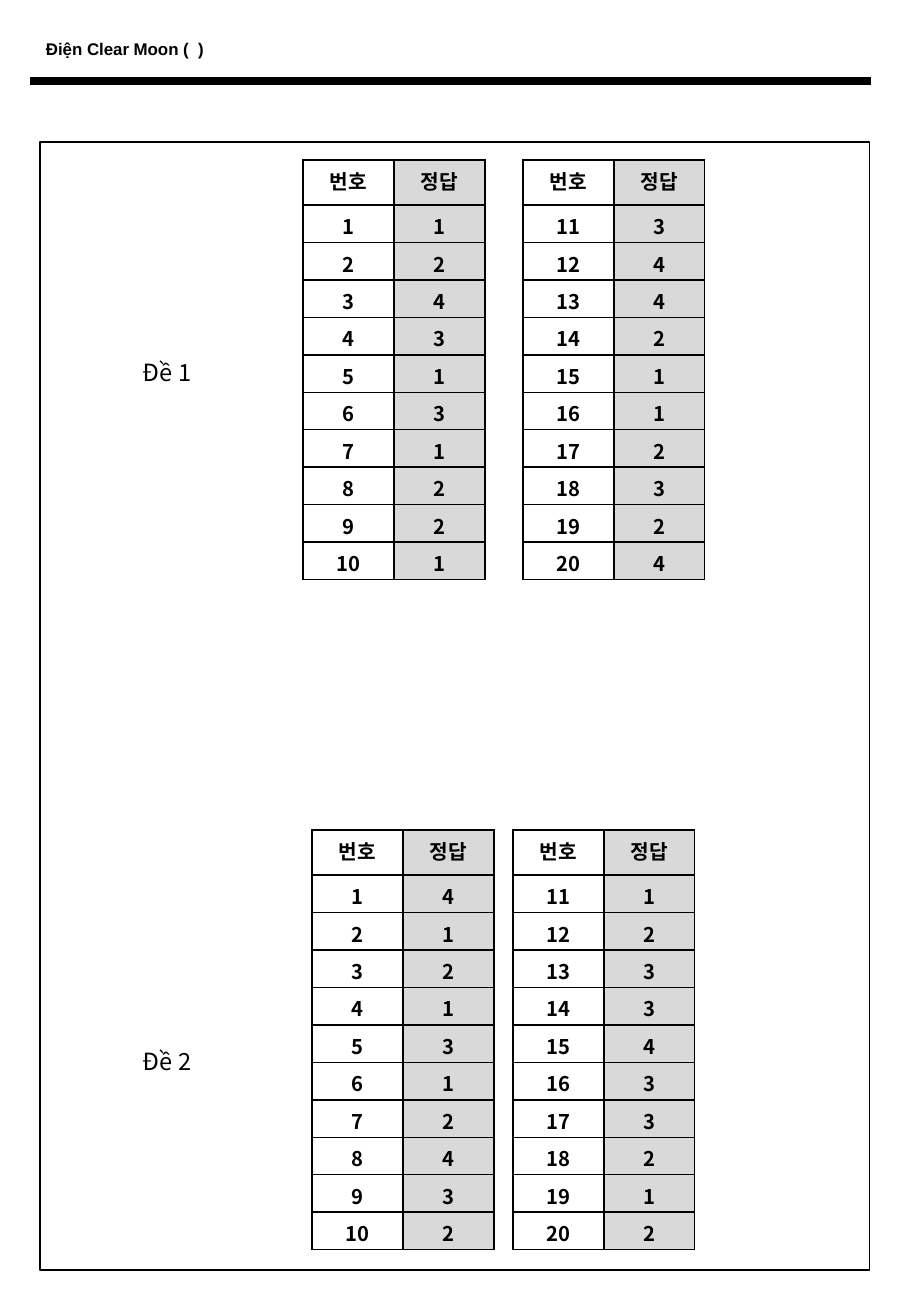
from lxml import etree
from pptx import Presentation
from pptx.dml.color import RGBColor
from pptx.enum.shapes import MSO_CONNECTOR, MSO_SHAPE
from pptx.enum.text import MSO_AUTO_SIZE, PP_ALIGN
from pptx.oxml import parse_xml
from pptx.oxml.ns import nsdecls, qn
from pptx.util import Inches, Pt

STRAIGHT = MSO_CONNECTOR.STRAIGHT
RECTANGLE = MSO_SHAPE.RECTANGLE
GROW = MSO_AUTO_SIZE.SHAPE_TO_FIT_TEXT
LEFT, CENTER = PP_ALIGN.LEFT, PP_ALIGN.CENTER

TITLE = "Điện Clear Moon (  )"
HEADINGS = ("번호", "정답")
# Answers 1-10 and 11-20 of each exam, with the left edge of each table
EXAMS = [
    {"label": "Đề 1", "label_top": 352, "table_top": 160, "halves": [
        (303, [1, 2, 4, 3, 1, 3, 1, 2, 2, 1]),
        (523, [3, 4, 4, 2, 1, 1, 2, 3, 2, 4])]},
    {"label": "Đề 2", "label_top": 1041, "table_top": 830, "halves": [
        (312, [4, 1, 2, 1, 3, 1, 2, 4, 3, 2]),
        (513, [1, 2, 3, 3, 4, 3, 3, 2, 1, 2])]},
]

COLORS = {"ink": "000000", "answer": "D9D9D9"}
LATIN_FONT, KOREAN_FONT = "Arial", "Noto Sans CJK KR"
PX_PER_INCH = 121.5
COLUMN_WIDTH, HEADING_HEIGHT, TABLE_HEIGHT = 91, 45, 420


def px(length):
    return Inches(length / PX_PER_INCH)


def color(name):
    return RGBColor.from_string(COLORS[name])


def write(frame, text, size, font, bold=False, align=LEFT):
    frame.text = text
    paragraph = frame.paragraphs[0]
    paragraph.alignment = align
    run = paragraph.runs[0]
    run.font.size, run.font.bold, run.font.name = Pt(size), bold, font
    run.font.color.rgb = color("ink")
    etree.SubElement(run.font._element, qn("a:ea")).set("typeface", font)


def add_label(slide, box, text, size, font, bold=False):
    frame = slide.shapes.add_textbox(*map(px, box)).text_frame
    frame.word_wrap = True
    frame.auto_size = GROW
    write(frame, text, size, font, bold)


def add_borders(cell):
    properties = cell._tc.get_or_add_tcPr()
    for side in ("lnL", "lnR", "lnT", "lnB"):
        properties.append(parse_xml(
            f'<a:{side} {nsdecls("a")} w="{Pt(1)}"><a:solidFill>'
            f'<a:srgbClr val="{COLORS["ink"]}"/></a:solidFill></a:{side}>'))


def add_answers(slide, left, top, first_number, answers):
    rows = [HEADINGS, *enumerate(answers, first_number)]
    table = slide.shapes.add_table(
        len(rows), len(HEADINGS), px(left), px(top),
        px(COLUMN_WIDTH * len(HEADINGS)), px(TABLE_HEIGHT)).table
    table.first_row = table.horz_banding = False
    for column in table.columns:
        column.width = px(COLUMN_WIDTH)
    answer_height = (TABLE_HEIGHT - HEADING_HEIGHT) / len(answers)
    for r, values in enumerate(rows):
        table.rows[r].height = px(answer_height if r else HEADING_HEIGHT)
        for c, value in enumerate(values):
            cell = table.cell(r, c)
            cell.margin_bottom = 0
            write(cell.text_frame, str(value), 12, KOREAN_FONT, True, CENTER)
            add_borders(cell)
            if c == 1:
                cell.fill.solid()
                cell.fill.fore_color.rgb = color("answer")
            else:
                cell.fill.background()


def main():
    deck = Presentation()
    deck.slide_width, deck.slide_height = Inches(7.5), Inches(10.83)
    slide = deck.slides.add_slide(deck.slide_layouts[6])

    rule = slide.shapes.add_connector(STRAIGHT, px(30), px(81), px(871), px(81))
    rule.line.color.rgb = color("ink")
    rule.line.width = Pt(4.5)
    etree.SubElement(rule._element.spPr, qn("a:effectLst"))

    border = slide.shapes.add_shape(RECTANGLE, px(40), px(142), px(830), px(1128))
    border.shadow.inherit = False
    border.fill.background()
    border.line.color.rgb = color("ink")
    border.line.width = Pt(0.75)

    add_label(slide, (34, 33, 220, 33), TITLE, 10, LATIN_FONT, True)
    for exam in EXAMS:
        first_number = 1
        for left, answers in exam["halves"]:
            add_answers(slide, left, exam["table_top"], first_number, answers)
            first_number += len(answers)
        add_label(slide, (131, exam["label_top"], 79, 41), exam["label"], 14, KOREAN_FONT)

    deck.save("out.pptx")


if __name__ == "__main__":
    main()
